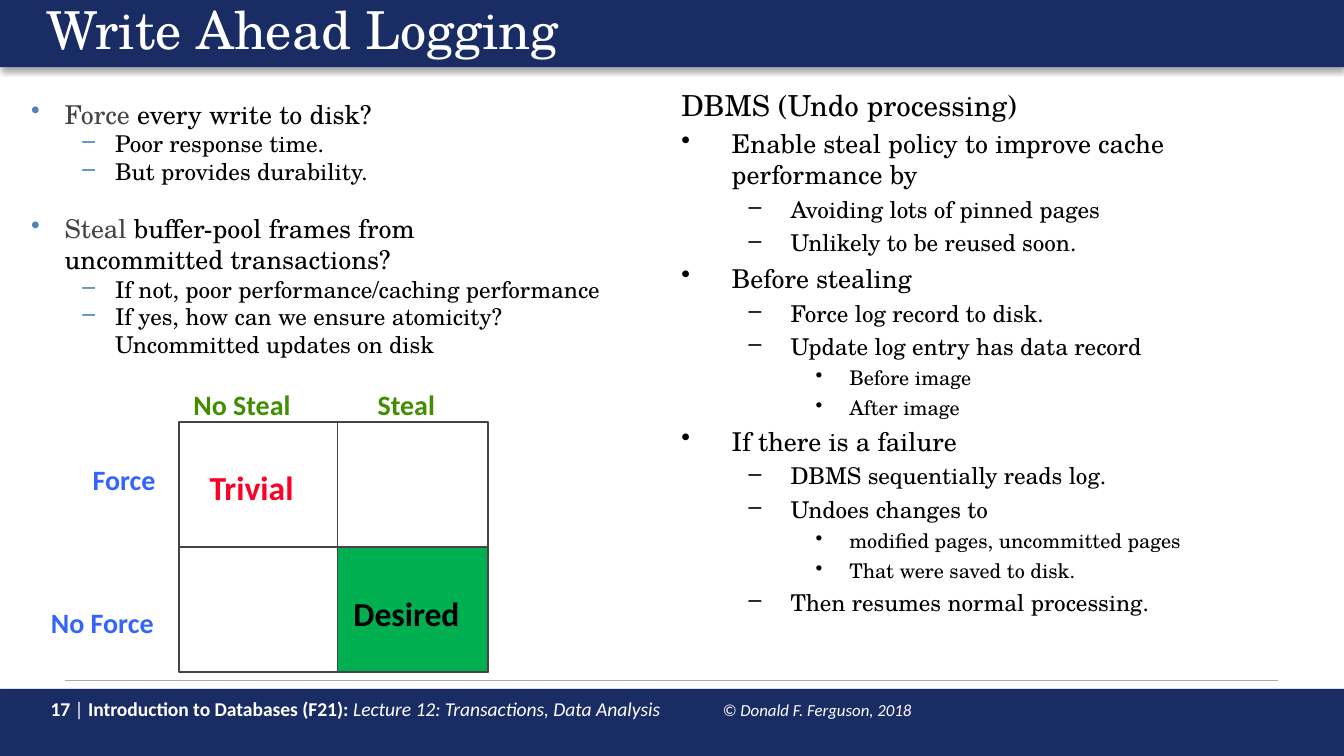
from lxml.etree import SubElement
from pptx import Presentation
from pptx.dml.color import RGBColor
from pptx.enum.shapes import MSO_CONNECTOR, MSO_SHAPE
from pptx.enum.text import MSO_ANCHOR
from pptx.oxml.ns import qn
from pptx.util import Pt

SERIF, SANS = "TeX Gyre Schola", "Calibri"
NAVY, WHITE, BLACK, GRAY = "1A2C64", "FFFFFF", "000000", "444444"
BLUE, GREEN, RED = "3365FB", "438E00", "FC0128"
LEVEL_SIZES = [13.9, 12.4, 10.8]

QUESTIONS = [
    (0, "Force ", "every write to disk?", 0),
    (1, "", "Poor response time.", 0),
    (1, "", "But provides durability.", 15),
    (0, "Steal ", "buffer-pool frames from\nuncommitted transactions?", 0),
    (1, "", "If not, poor performance/caching performance", 0),
    (1, "", "If yes, how can we ensure atomicity?\nUncommitted updates on disk", 0),
]
UNDO_STEPS = [
    (0, "Enable steal policy to improve cache performance by"),
    (1, "Avoiding lots of pinned pages"),
    (1, "Unlikely to be reused soon."),
    (0, "Before stealing"),
    (1, "Force log record to disk."),
    (1, "Update log entry has data record"),
    (2, "Before image"),
    (2, "After image"),
    (0, "If there is a failure"),
    (1, "DBMS sequentially reads log."),
    (1, "Undoes changes to"),
    (2, "modified pages, uncommitted pages"),
    (2, "That were saved to disk."),
    (1, "Then resumes normal processing."),
]


def rgb(color):
    return RGBColor.from_string(color)


def add_run(p, text, size, color, font=SERIF, bold=False, italic=False):
    """Add text to a paragraph, with a line break at each newline."""
    for i, line in enumerate(text.split("\n")):
        if i:
            p.add_line_break()
        r = p.add_run()
        r.text = line
        r.font.name, r.font.size = font, Pt(size)
        r.font.bold, r.font.italic = bold, italic
        r.font.color.rgb = rgb(color)


def add_text(s, box, insets=(0, 0), wrap=True):
    tf = s.shapes.add_textbox(*map(Pt, box)).text_frame
    tf.word_wrap = wrap
    tf.vertical_anchor = MSO_ANCHOR.TOP
    tf.margin_left = tf.margin_right = Pt(insets[0])
    tf.margin_top = tf.margin_bottom = Pt(insets[1])
    return tf


def add_rect(s, box, fill=None, line=None):
    sp = s.shapes.add_shape(MSO_SHAPE.RECTANGLE, *map(Pt, box))
    sp.shadow.inherit = False
    if fill:
        sp.fill.solid()
        sp.fill.fore_color.rgb = rgb(fill)
    else:
        sp.fill.background()
    if line:
        sp.line.color.rgb = rgb(line)
        sp.line.width = Pt(1)
    else:
        sp.line.fill.background()
    return sp


def add_line(s, x1, y1, x2, y2, color, width):
    ln = s.shapes.add_connector(MSO_CONNECTOR.STRAIGHT, *map(Pt, (x1, y1, x2, y2)))
    ln.line.color.rgb = rgb(color)
    ln.line.width = Pt(width)
    SubElement(ln._element.spPr, qn("a:effectLst"))


def add_bar(s, box):
    """Navy band with a soft shadow below it."""
    sp = add_rect(s, box, NAVY)
    effects = sp._element.spPr.find(qn("a:effectLst"))
    shadow = SubElement(effects, qn("a:outerShdw"), blurRad=str(Pt(3.1)),
                        dist=str(Pt(1.8)), dir="5400000", rotWithShape="0")
    color = SubElement(shadow, qn("a:srgbClr"), val=BLACK)
    SubElement(color, qn("a:alpha"), val="35000")


def set_bullet(p, level, indents, color=None):
    """Give a paragraph the left margin, hanging indent and bullet of its level."""
    p.level = level
    margin, hang = indents[level]
    pPr = p._p.get_or_add_pPr()
    pPr.set("marL", str(Pt(margin)))
    pPr.set("indent", str(-Pt(hang)))
    if color:
        SubElement(SubElement(pPr, qn("a:buClr")), qn("a:srgbClr"), val=color)
    SubElement(pPr, qn("a:buChar"), char="•–•"[level])


def add_footer(s, box):
    x, y, w, h = box
    add_bar(s, box)
    p = add_text(s, (x + 20, y + 1.1, 554, 20), (7.2, 3.6)).paragraphs[0]
    add_run(p, "17 ", 10.5, WHITE, SANS, bold=True)
    add_run(p, "|", 10.5, WHITE, SANS)
    add_run(p, " Introduction to Databases (F21): ", 10.5, WHITE, SANS, bold=True)
    add_run(p, "Lecture 12: Transactions, Data Analysis\t", 10.5, WHITE, SANS, italic=True)
    add_run(p, "© Donald F. Ferguson, 2018", 9, WHITE, SANS, italic=True)
    add_line(s, x + 34.6, y - 4.4, x + w - 35.3, y - 4.4, "AAAAAA", 0.75)


def add_header(s, box):
    x, y, w, h = box
    add_bar(s, box)
    p = add_text(s, (x + 18, y - 1.4, 652, 30), (7.2, 3.6)).paragraphs[0]
    p.line_spacing = 0.9
    add_run(p, "Write Ahead Logging", 28, WHITE)


def add_undo_steps(s, box):
    tf = add_text(s, box)
    p = tf.paragraphs[0]
    p.space_after = Pt(3)
    add_run(p, "DBMS (Undo processing)", 15.5, BLACK)
    for level, text in UNDO_STEPS:
        p = tf.add_paragraph()
        set_bullet(p, level, [(27, 27), (58.5, 22.5), (90, 18)])
        p.space_after = Pt(3)
        add_run(p, text, LEVEL_SIZES[level], BLACK)


def add_questions(s, box):
    tf = add_text(s, box)
    for i, (level, term, text, gap) in enumerate(QUESTIONS):
        p = tf.add_paragraph() if i else tf.paragraphs[0]
        set_bullet(p, level, [(18, 18), (45, 17.5)], "4F81BD")
        p.space_after = Pt(gap)
        if term:
            add_run(p, term, LEVEL_SIZES[level], GRAY)
        add_run(p, text, LEVEL_SIZES[level], BLACK)


def add_policy_matrix(s, box):
    x, y, w, h = box
    mid_x, mid_y = x + 85, y + h / 2
    add_rect(s, box, line=GRAY)
    add_line(s, x, mid_y, x + w, mid_y, GRAY, 1)
    add_line(s, mid_x, y, mid_x, y + h, GRAY, 1)
    add_rect(s, (mid_x, mid_y, x + w - mid_x, h / 2), "00B050", GRAY)
    labels = [
        ("Force", -51.2, 18.7, 51.8, 15, BLUE),
        ("No Force", -73.5, 95.7, 76.3, 15, BLUE),
        ("No Steal", 2.8, -21.6, 71.3, 15, GREEN),
        ("Steal", 101.5, -21.6, 46.8, 15, GREEN),
        ("Trivial", 11.5, 20.9, 63.4, 18, RED),
        ("Desired", 88.5, 88.5, 77.8, 18, BLACK),
    ]
    for text, dx, dy, width, size, color in labels:
        tf = add_text(s, (x + dx, y + dy, width, size * 1.2 + 5.8), (5, 2.9), wrap=False)
        add_run(tf.paragraphs[0], text, size, color, SANS, bold=True)


def main():
    prs = Presentation()
    prs.slide_width, prs.slide_height = Pt(720), Pt(405)
    s = prs.slides.add_slide(prs.slide_layouts[6])
    add_footer(s, (0, 369, 720, 36))
    add_header(s, (0, 0, 720, 36))
    add_undo_steps(s, (365, 46.8, 322, 309))
    add_policy_matrix(s, (95.8, 226.1, 165.6, 134))
    add_questions(s, (16.6, 52.6, 332.6, 149))
    prs.save("out.pptx")


if __name__ == "__main__":
    main()
